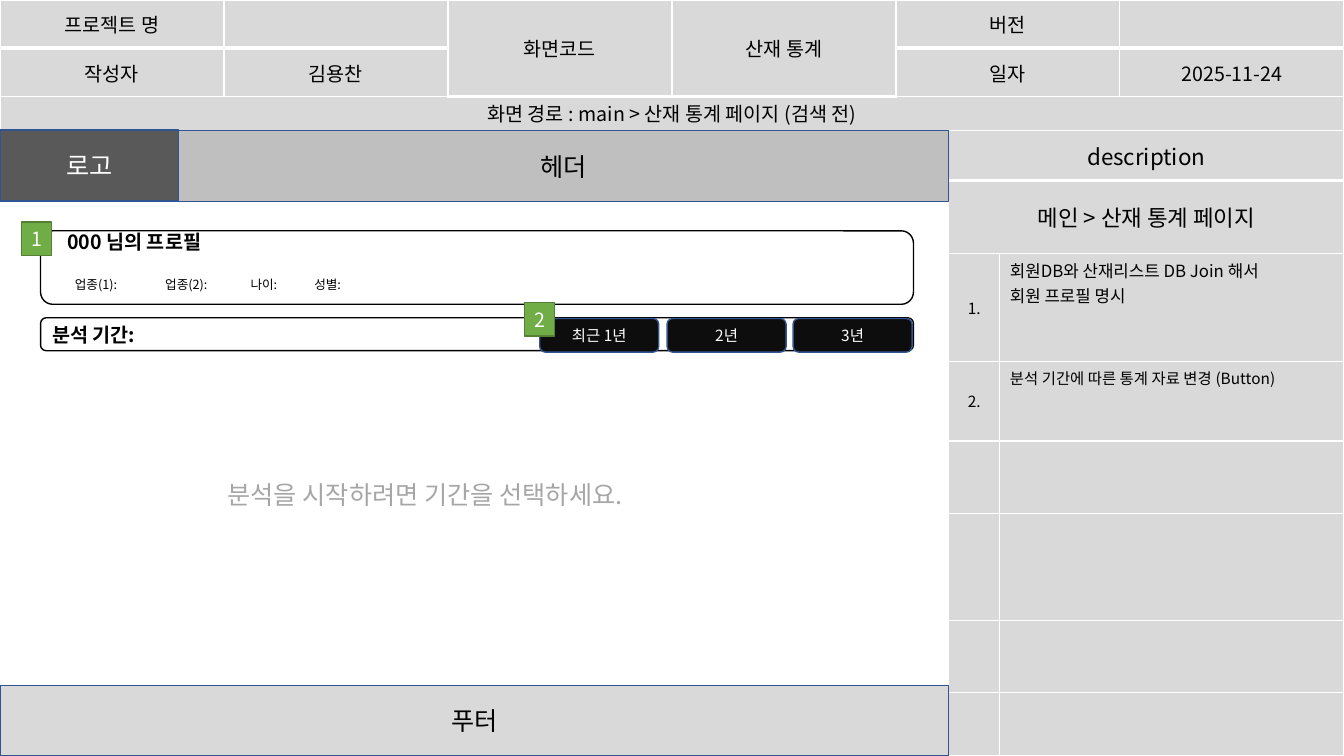
from dataclasses import dataclass

from lxml import etree
from pptx import Presentation
from pptx import util as u
from pptx.dml.color import RGBColor
from pptx.enum import shapes, text
from pptx.oxml.ns import qn


@dataclass(frozen=True)
class Theme:
    font: str = "Noto Sans CJK KR"
    black: str = "000000"
    white: str = "FFFFFF"
    panel: str = "D9D9D9"
    header: str = "BFBFBF"
    logo: str = "595959"
    button: str = "0D0D0D"
    badge: str = "70AD47"
    badge_line: str = "538035"
    outline: str = "325491"
    hint: str = "A6A6A6"
    title: float = 18
    heading: float = 16
    body: float = 14
    note: float = 12
    small: float = 11
    tiny: float = 9


T = Theme()
RECT = shapes.MSO_SHAPE.RECTANGLE
ROUND = shapes.MSO_SHAPE.ROUNDED_RECTANGLE
CENTER = text.PP_ALIGN.CENTER
LEFT = text.PP_ALIGN.LEFT
MIDDLE = text.MSO_ANCHOR.MIDDLE
TOP = text.MSO_ANCHOR.TOP


@dataclass(frozen=True)
class Box:
    label: str
    left: float
    top: float
    width: float
    height: float
    fill: str
    line: str = T.outline
    color: str = T.white
    size: float = T.title
    kind: shapes.MSO_SHAPE = RECT
    align: text.PP_ALIGN = CENTER
    bold: bool = False


@dataclass(frozen=True)
class Label:
    label: str
    left: float
    top: float
    width: float
    height: float
    size: float
    color: str
    margin: float = 0


@dataclass(frozen=True)
class Entry:
    row: int
    col: int
    label: str
    size: float = T.body
    align: text.PP_ALIGN = CENTER
    anchor: text.MSO_ANCHOR = MIDDLE
    span: tuple[int, int] = (1, 1)
    margin: float = 3.6


@dataclass(frozen=True)
class Grid:
    left: float
    top: float
    cols: list[float]
    rows: list[float]
    entries: list[Entry]


INFO = Grid(0, 0, [160] * 6, [34.5, 34.5, 24], [
    Entry(0, 0, "프로젝트 명"),
    Entry(0, 2, "화면코드", span=(2, 1)),
    Entry(0, 3, "산재 통계", span=(2, 1)),
    Entry(0, 4, "버전"),
    Entry(1, 0, "작성자"),
    Entry(1, 1, "김용찬"),
    Entry(1, 4, "일자"),
    Entry(1, 5, "2025-11-24"),
    Entry(2, 0, "화면 경로 : main > 산재 통계 페이지 (검색 전)", span=(1, 6), margin=0),
])
DESCRIPTION = Grid(677.5, 93, [36.7, 245.8], [36, 52, 77, 57, 52, 76, 52, 45], [
    Entry(0, 0, "description", T.heading, span=(1, 2)),
    Entry(1, 0, "메인 > 산재 통계 페이지", T.heading, span=(1, 2)),
    Entry(2, 0, "1.", T.small),
    Entry(2, 1, "회원DB와 산재리스트 DB Join 해서\n회원 프로필 명시", T.note, LEFT, TOP),
    Entry(3, 0, "2.", T.small),
    Entry(3, 1, "분석 기간에 따른 통계 자료 변경 (Button)", T.small, LEFT, TOP),
])

BUTTONS = [Box(label, left, 227.5, 85, 24, T.button, size=T.small, kind=ROUND)
           for label, left in [("최근 1년", 385.5), ("2년", 476.5), ("3년", 566.5)]]
BADGES = [Box(label, left, top, 21.5, 24, T.badge, T.badge_line, size=T.body)
          for label, left, top in [("1", 15.5, 158.5), ("2", 374.5, 216)]]
BOXES = [
    Box("헤더", 127.5, 93, 550, 51, T.header, color=T.black),
    Box("로고", 0, 93, 127.5, 50.5, T.logo),
    Box("", 29, 164.9, 623.5, 52.5, T.white, T.black, kind=ROUND),
    Box("분석 기간:", 29, 227, 623.5, 23.5, T.white, T.black, T.black, T.body, ROUND, LEFT, True),
    *BUTTONS,
    *BADGES,
    Box("푸터", 0, 489.5, 677.5, 50.5, T.panel, color=T.black),
]
PROFILE_TITLE = Label("000 님의 프로필", 48, 164.5, 200, 21, T.body, T.black)
PROFILE_FIELDS = [Label(label, left, 198, 50, 14, T.tiny, T.black)
                  for label, left in [("업종(1):", 53.5), ("업종(2):", 118),
                                      ("나이:", 179), ("성별:", 224.5)]]
HINT = Label("분석을 시작하려면 기간을 선택하세요.", 155.5, 339, 324.5, 29, T.title, T.hint, 7.2)


def style(p, size: float, color: str, align: text.PP_ALIGN, bold: bool = False) -> None:
    p.alignment = align
    p.font.name = T.font
    p.font.size = u.Pt(size)
    p.font.bold = bold
    p.font.color.rgb = RGBColor.from_string(color)
    latin = p._p.pPr.find(qn("a:defRPr")).find(qn("a:latin"))
    latin.addnext(etree.Element(qn("a:ea"), typeface=T.font))


def write(tf, label: str, size: float, color: str, align: text.PP_ALIGN, bold: bool = False) -> None:
    tf.text = label
    tf.word_wrap = True
    for p in tf.paragraphs:
        style(p, size, color, align, bold)


def add_box(slide, box: Box) -> None:
    sp = slide.shapes.add_shape(box.kind, *map(u.Pt, (box.left, box.top, box.width, box.height)))
    sp.shadow.inherit = False
    sp.fill.solid()
    sp.fill.fore_color.rgb = RGBColor.from_string(box.fill)
    sp.line.color.rgb = RGBColor.from_string(box.line)
    sp.line.width = u.Pt(1)
    if box.label:
        sp.text_frame.vertical_anchor = MIDDLE
        write(sp.text_frame, box.label, box.size, box.color, box.align, box.bold)


def add_label(slide, item: Label, bold: bool = False) -> None:
    area = map(u.Pt, (item.left, item.top, item.width, item.height))
    tf = slide.shapes.add_textbox(*area).text_frame
    tf.margin_left = tf.margin_right = u.Pt(item.margin)
    tf.margin_top = tf.margin_bottom = u.Pt(item.margin / 2)
    write(tf, item.label, item.size, item.color, LEFT, bold)


def add_borders(cell, bottom: float) -> None:
    props = cell._tc.get_or_add_tcPr()
    for i, (side, width) in enumerate([("L", 1), ("R", 1), ("B", bottom)]):
        line = etree.Element(qn(f"a:ln{side}"), w=str(u.Pt(width)))
        fill = etree.SubElement(line, qn("a:solidFill"))
        etree.SubElement(fill, qn("a:srgbClr"), val=T.white)
        props.insert(i, line)


def add_grid(slide, grid: Grid) -> None:
    area = map(u.Pt, (grid.left, grid.top, sum(grid.cols), sum(grid.rows)))
    table = slide.shapes.add_table(len(grid.rows), len(grid.cols), *area).table
    table.first_row = table.horz_banding = False
    for column, width in zip(table.columns, grid.cols):
        column.width = u.Pt(width)
    for i, (row, height) in enumerate(zip(table.rows, grid.rows)):
        row.height = u.Pt(height)
        for cell in row.cells:
            cell.fill.solid()
            cell.fill.fore_color.rgb = RGBColor.from_string(T.panel)
            add_borders(cell, 3 if i == 0 else 1)
    for e in grid.entries:
        cell = table.cell(e.row, e.col)
        end = table.cell(e.row + e.span[0] - 1, e.col + e.span[1] - 1)
        if e.span != (1, 1):
            cell.merge(end)
        for part in table.iter_cells():
            if part.is_spanned and e.margin == 0 and part._tc.row_idx == e.row:
                part.margin_top = part.margin_bottom = 0
                style(part.text_frame.paragraphs[0], e.size, T.black, e.align)
        cell.margin_top = cell.margin_bottom = u.Pt(e.margin)
        cell.vertical_anchor = e.anchor
        write(cell.text_frame, e.label, e.size, T.black, e.align)


def main() -> None:
    prs = Presentation()
    prs.slide_width, prs.slide_height = u.Pt(960), u.Pt(540)
    slide = prs.slides.add_slide(prs.slide_layouts[6])
    for grid in (INFO, DESCRIPTION):
        add_grid(slide, grid)
    for box in BOXES:
        add_box(slide, box)
    add_label(slide, PROFILE_TITLE, bold=True)
    for item in (*PROFILE_FIELDS, HINT):
        add_label(slide, item)
    prs.save("out.pptx")


if __name__ == "__main__":
    main()
